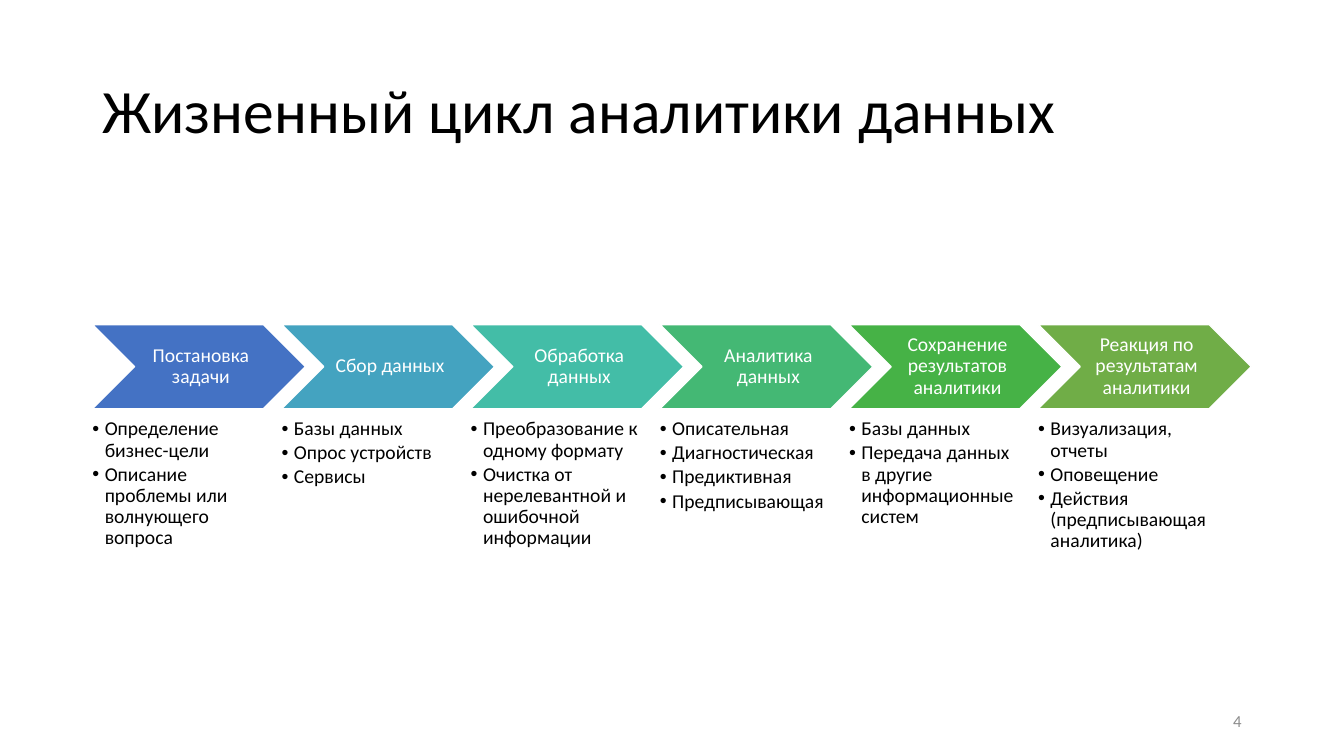
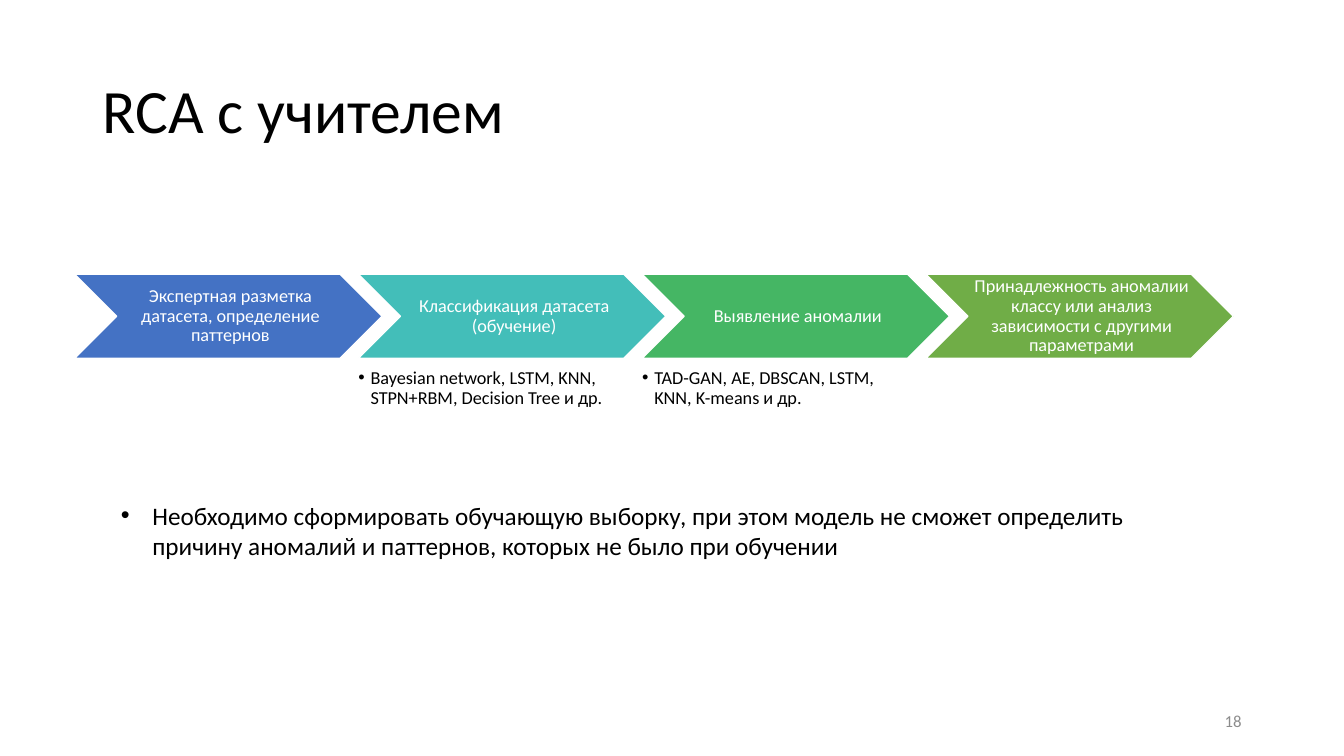
from lxml import etree
from pptx import Presentation
from pptx import util as u
from pptx.dml.color import RGBColor
from pptx.enum import shapes, text
from pptx.oxml.ns import qn

COLORS = {
    "white": "FFFFFF", "black": "000000", "number": "8C8C8C",
    "blue": "4472C4", "sky": "44A3C0", "teal": "43BDA7", "aqua": "43BEB9",
    "mint": "44B874", "emerald": "45B664", "green": "46B246", "olive": "70AD47",
}
FONT = "Calibri"
STEP_HEIGHT = 2.12
STEP_OVERLAP = 0.6
DETAIL_GAP = 0.26
DETAIL_SHARE = 0.8
INSETS = (0.25, 0.13, 0.25, 0.13)
STEP_INSETS = (0.15, 0.05, 0.05, 0.05)

LIFECYCLE = [
    ("Постановка задачи", "blue",
     ["Определение бизнес-цели", "Описание проблемы или волнующего вопроса"]),
    ("Сбор данных", "sky", ["Базы данных", "Опрос устройств", "Сервисы"]),
    ("Обработка данных", "teal",
     ["Преобразование к одному формату",
      "Очистка от нерелевантной и ошибочной информации"]),
    ("Аналитика данных", "mint",
     ["Описательная", "Диагностическая", "Предиктивная", "Предписывающая"]),
    ("Сохранение результатов аналитики", "green",
     ["Базы данных", "Передача данных в другие информационные систем"]),
    ("Реакция по результатам аналитики", "olive",
     ["Визуализация, отчеты", "Оповещение",
      "Действия (предписывающая аналитика)"]),
]
SUPERVISED = [
    ("Экспертная разметка датасета, определение паттернов", "blue", []),
    ("Классификация датасета (обучение)", "aqua",
     ["Bayesian network, LSTM, KNN, STPN+RBM, Decision Tree и др."]),
    ("Выявление аномалии", "emerald",
     ["TAD-GAN, AE, DBSCAN, LSTM, KNN, K-means и др."]),
    ("Принадлежность аномалии классу или анализ зависимости с другими "
     "параметрами", "olive", []),
]
CONCLUSION = ("Необходимо сформировать обучающую выборку, при этом модель не "
              "сможет определить причину аномалий и паттернов, которых не "
              "было при обучении")


def rgb(name):
    """Return the named colour."""
    return RGBColor.from_string(COLORS[name])


def add_bullet(paragraph, indent):
    """Give a paragraph a bullet with a hanging indent in centimetres."""
    properties = paragraph._p.get_or_add_pPr()
    properties.set("marL", str(u.Cm(indent)))
    properties.set("indent", str(-u.Cm(indent)))
    etree.SubElement(properties, qn("a:buFont")).set("typeface", "Arial")
    etree.SubElement(properties, qn("a:buChar")).set("char", "•")


def fill_text(shape, lines, size, color="black", align=text.PP_ALIGN.LEFT,
              anchor=text.MSO_ANCHOR.TOP, insets=INSETS, spacing=None,
              after=0, indent=None):
    """Write the lines into a shape, one paragraph each."""
    frame = shape.text_frame
    frame.word_wrap = True
    frame.vertical_anchor = anchor
    (frame.margin_left, frame.margin_top,
     frame.margin_right, frame.margin_bottom) = map(u.Cm, insets)
    frame.text = "\n".join(lines)
    for paragraph in frame.paragraphs:
        paragraph.alignment = align
        paragraph.line_spacing = spacing
        paragraph.space_after = u.Pt(after)
        paragraph.font.name = FONT
        paragraph.font.size = u.Pt(size)
        paragraph.font.color.rgb = rgb(color)
        if indent:
            add_bullet(paragraph, indent)


def add_text(slide, box, lines, size, **style):
    """Add a text box at left, top, width and height in centimetres."""
    shape = slide.shapes.add_textbox(*map(u.Cm, box))
    fill_text(shape, lines, size, **style)


def add_step(slide, box, label, color, size):
    """Add one labelled chevron."""
    shape = slide.shapes.add_shape(shapes.MSO_SHAPE.CHEVRON, *map(u.Cm, box))
    shape.shadow.inherit = False
    shape.fill.solid()
    shape.fill.fore_color.rgb = rgb(color)
    shape.line.color.rgb = rgb("white")
    shape.line.width = u.Pt(1)
    fill_text(shape, [label], size, color="white", align=text.PP_ALIGN.CENTER,
              anchor=text.MSO_ANCHOR.MIDDLE, insets=STEP_INSETS, spacing=0.9)


def add_process(slide, box, steps, size):
    """Spread overlapping chevrons over the box, with details below them."""
    left, top, width, height = box
    count = len(steps)
    step_width = (width + (count - 1) * STEP_OVERLAP) / count
    detail_top = top + STEP_HEIGHT + DETAIL_GAP
    for index, (label, color, details) in enumerate(steps):
        step_left = left + index * (step_width - STEP_OVERLAP)
        add_step(slide, (step_left, top, step_width, STEP_HEIGHT),
                 label, color, size)
        if details:
            detail_box = (step_left, detail_top, step_width * DETAIL_SHARE,
                          top + height - detail_top)
            add_text(slide, detail_box, details, size, insets=(0, 0, 0, 0),
                     spacing=0.9, after=2, indent=0.31)


def add_titled_slide(presentation, title, number):
    """Add a blank slide with the shared title and slide number."""
    slide = presentation.slides.add_slide(presentation.slide_layouts[6])
    add_text(slide, (2.33, 1.01, 29.21, 3.68), [title], 44,
             anchor=text.MSO_ANCHOR.MIDDLE, spacing=0.9)
    add_text(slide, (23.92, 17.66, 7.62, 1.01), [str(number)], 12,
             color="number", align=text.PP_ALIGN.RIGHT,
             anchor=text.MSO_ANCHOR.MIDDLE)
    return slide


def main():
    """Build and save the presentation."""
    presentation = Presentation()
    presentation.slide_width = u.Cm(33.87)
    presentation.slide_height = u.Cm(19.05)

    slide = add_titled_slide(presentation, "Жизненный цикл аналитики данных", 4)
    add_process(slide, (2.33, 8.18, 29.2, 5.9), LIFECYCLE, 14)

    slide = add_titled_slide(presentation, "RCA с учителем", 18)
    add_process(slide, (1.88, 6.91, 29.2, 3.42), SUPERVISED, 13)
    add_text(slide, (2.8, 12.47, 27.38, 1.8), [CONCLUSION], 18, indent=0.79)

    presentation.save("out.pptx")


if __name__ == "__main__":
    main()
